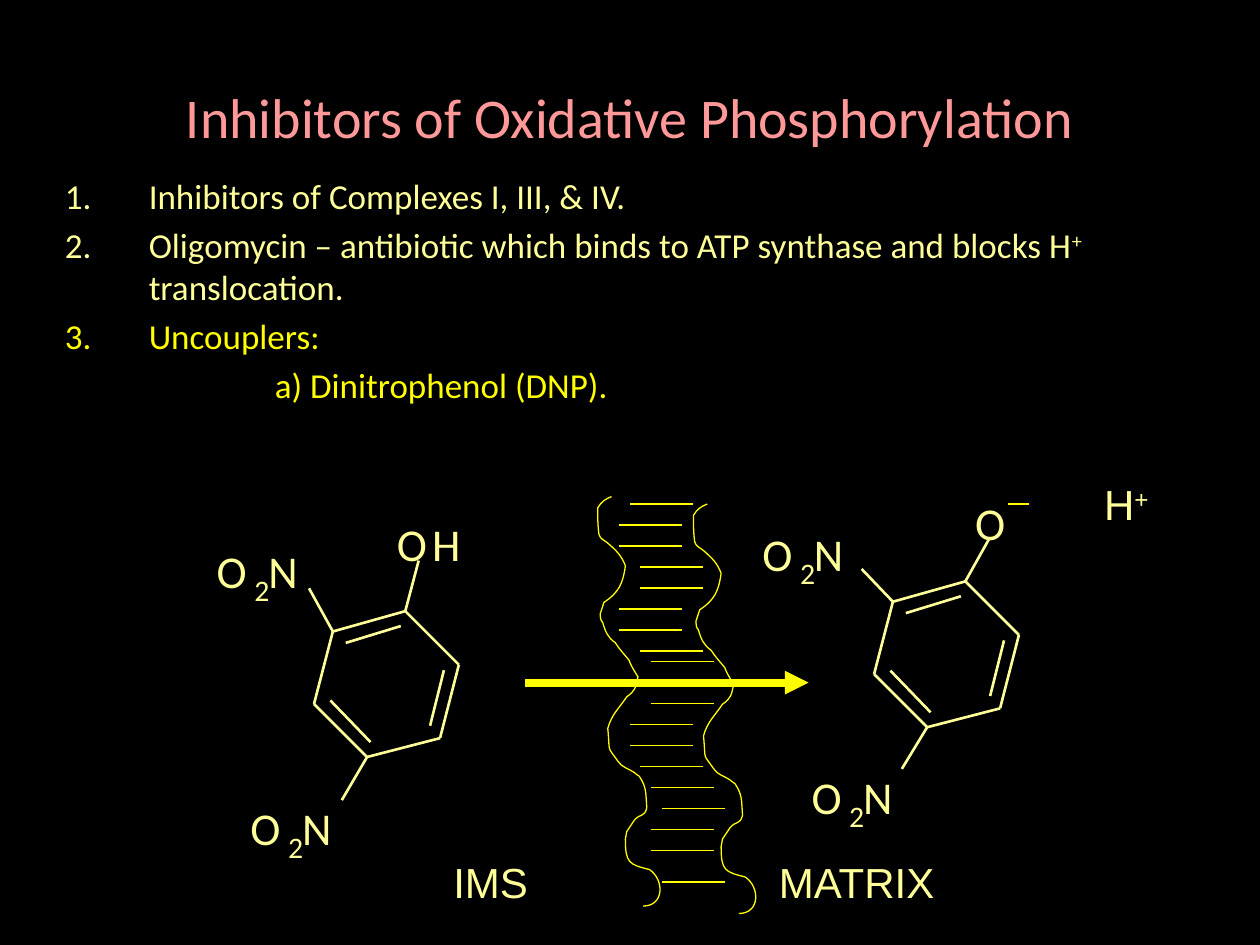
from lxml import etree
from pptx import Presentation, util as u
from pptx.dml.color import RGBColor
from pptx.enum import shapes as kinds, text as t
from pptx.oxml.ns import qn

HUES = {"back": "000000", "title": "FF9999", "pale": "FFFF99", "bright": "FFFF00"}

deck = Presentation()
deck.slide_width, deck.slide_height = u.Cm(25.4), u.Cm(19.05)
slide = deck.slides.add_slide(deck.slide_layouts[6])
slide.background.fill.solid()
slide.background.fill.fore_color.rgb = RGBColor.from_string(HUES["back"])


def put(words, x, y, w, h, size=26, font="Calibri", hue="pale", pad=0, wrap=False,
        align=t.PP_ALIGN.LEFT, anchor=t.MSO_ANCHOR.TOP, gap=0):
    """Add a text box; each line is a paragraph, and text between ^ marks is raised."""
    frame = slide.shapes.add_textbox(u.Cm(x), u.Cm(y), u.Cm(w), u.Cm(h)).text_frame
    frame.word_wrap, frame.vertical_anchor = wrap, anchor
    frame.margin_left = frame.margin_right = u.Cm(pad)
    frame.margin_top = frame.margin_bottom = u.Cm(pad / 2)
    for i, row in enumerate(words.split("\n")):
        para = frame.paragraphs[0] if i == 0 else frame.add_paragraph()
        para.alignment, para.space_before = align, u.Pt(gap)
        for j, part in enumerate(row.split("^")):
            if not part:
                continue
            run = para.add_run()
            run.text = part
            run.font.size, run.font.name = u.Pt(size), font
            run.font.color.rgb = RGBColor.from_string(HUES[hue])
            if j % 2:
                run.font._element.set("baseline", "30000")
    return frame


def draw(start, end, hue="pale", width=1.5):
    """Add a straight line between two points in cm."""
    line = slide.shapes.add_connector(
        kinds.MSO_CONNECTOR.STRAIGHT, *[u.Cm(n) for n in (*start, *end)])
    line.line.color.rgb = RGBColor.from_string(HUES[hue])
    line.line.width = u.Pt(width)
    etree.SubElement(line._element.spPr, qn("a:effectLst"))
    return line


# Title and list
put("Inhibitors of Oxidative Phosphorylation", 1.27, 0.76, 22.86, 3.18, size=32,
    hue="title", pad=0.25, wrap=True, align=t.PP_ALIGN.CENTER, anchor=t.MSO_ANCHOR.MIDDLE)
body = put("Inhibitors of Complexes I, III, & IV.\n"
           "Oligomycin – antibiotic which binds to ATP synthase and blocks H^+ ^translocation.\n"
           "Uncouplers:\n"
           "a) Dinitrophenol (DNP).",
           1.06, 3.4, 23.5, 5.28, size=20, pad=0.25, wrap=True, gap=4)
for para in body.paragraphs[:3]:
    props = para._p.get_or_add_pPr()
    props.set("marL", str(u.Cm(1.69)))
    props.set("indent", str(u.Cm(-1.69)))
    etree.SubElement(props, qn("a:buAutoNum"), type="arabicPeriod")
body.paragraphs[3]._p.get_or_add_pPr().set("marL", str(u.Cm(4.23)))
for para in body.paragraphs[2:]:
    para.runs[0].font.color.rgb = RGBColor.from_string(HUES["bright"])

# Membrane strands: start, then cubic curves, in hundredths of an inch
START = (11, 0)
CURVES = [
    (6, 2, 3, 4, 0, 9), (0, 16, 0, 23, 1, 30), (2, 34, 6, 35, 8, 37),
    (15, 43, 19, 47, 22, 55), (20, 69, 17, 76, 5, 84), (4, 87, 3, 90, 2, 93),
    (2, 95, 2, 98, 4, 100), (6, 107, 8, 112, 14, 116), (17, 121, 21, 125, 25, 130),
    (26, 134, 32, 143, 32, 143), (30, 152, 30, 154, 23, 159),
    (17, 168, 11, 173, 8, 184), (10, 205, 7, 197, 16, 210),
    (19, 215, 25, 216, 29, 219), (30, 220, 33, 222, 33, 222),
    (39, 231, 38, 235, 39, 247), (37, 255, 34, 251, 29, 257),
    (27, 260, 23, 266, 23, 266), (23, 268, 22, 270, 22, 272),
    (22, 291, 25, 292, 41, 296), (53, 304, 53, 325, 36, 325),
]
knots = [pair for c in CURVES for pair in (c[:2], c[2:4], c[4:])]
for left, top in ((12.05, 10.01), (13.98, 10.16)):
    pen = slide.shapes.build_freeform(*START, scale=u.Cm(2.54) / 100)
    pen.add_line_segments(knots, close=False)
    strand = pen.convert_to_shape(u.Cm(left), u.Cm(top))
    strand.left, strand.top = u.Cm(left), u.Cm(top)
    strand.shadow.inherit = False
    strand.fill.background()
    strand.line.color.rgb = RGBColor.from_string(HUES["bright"])
    strand.line.width = u.Pt(0.75)
    # Every three straight segments become one cubic curve
    trace = strand._element.find(".//" + qn("a:path"))
    legs = trace.findall(qn("a:lnTo"))
    for i in range(0, len(legs), 3):
        curve = etree.SubElement(trace, qn("a:cubicBezTo"))
        for leg in legs[i:i + 3]:
            curve.append(leg[0])
            trace.remove(leg)

# Membrane rungs, on a grid of twelve cells to the inch
CELL = 2.54 / 12
ROWS = [*range(48, 63, 2), 63, *range(67, 82, 2), 84]
COLS = [60, 59, 59, 61, 61, 59, 59, 61, 62, 62, 60, 60, 61, 62, 63, 62, 62, 63]
for col, row in zip(COLS, ROWS):
    draw((col * CELL, row * CELL), ((col + 6) * CELL, row * CELL), "bright", 0.75)

arrow = draw((10.58, 13.76), (16.3, 13.76), "bright", 4.5)
etree.SubElement(arrow.line._get_or_add_ln(), qn("a:tailEnd"), type="triangle")

# Dinitrophenol rings: corners, inner double bonds, and bonds to the groups
RING = [(0, 1.87), (1.07, 2.94), (2.54, 2.56), (2.92, 1.08), (1.84, 0), (0.38, 0.41)]
INNER = [((0.33, 1.8), (1.14, 2.64)), ((2.34, 2.31), (2.62, 1.19)),
         ((1.75, 0.3), (0.64, 0.64))]
BONDED = [RING[4], RING[5], RING[1]]
for x, y, ends in (
    (6.33, 12.32, [(2.11, -1.02), (-0.1, -0.46), (0.56, 3.81)]),
    (17.62, 11.72, [(2.31, -0.84), (-0.25, -0.25), (0.56, 3.78)]),
):
    for a, b in [*zip(RING, RING[1:] + RING[:1]), *INNER, *zip(BONDED, ends)]:
        draw((x + a[0], y + a[1]), (x + b[0], y + b[1]))

# Atoms
for x, y in ((4.37, 10.95), (5.05, 16.13), (15.37, 10.6), (16.36, 15.5)):
    put("O", x, y, 0.71, 1.09)
    put("2", x + 0.76, y + 0.58, 0.33, 0.71, size=17)
    put("N", x + 1.04, y, 0.66, 1.09)
put("O", 8, 10.4, 0.71, 1.09)
put("H", 8.71, 10.4, 0.66, 1.09)
put("O", 19.66, 9.98, 0.71, 1.09)
draw((20.32, 10.16), (20.74, 10.16), "bright", 0.75)

# Captions
for words, x, y, w in (("IMS", 8.89, 17.15, 2.33), ("MATRIX", 15.45, 17.15, 4.02),
                       ("H^+", 22.01, 9.53, 1.48)):
    put(words, x, y, w, 1.27, size=24, font="Arial", pad=0.25, wrap=True)

deck.save("out.pptx")
